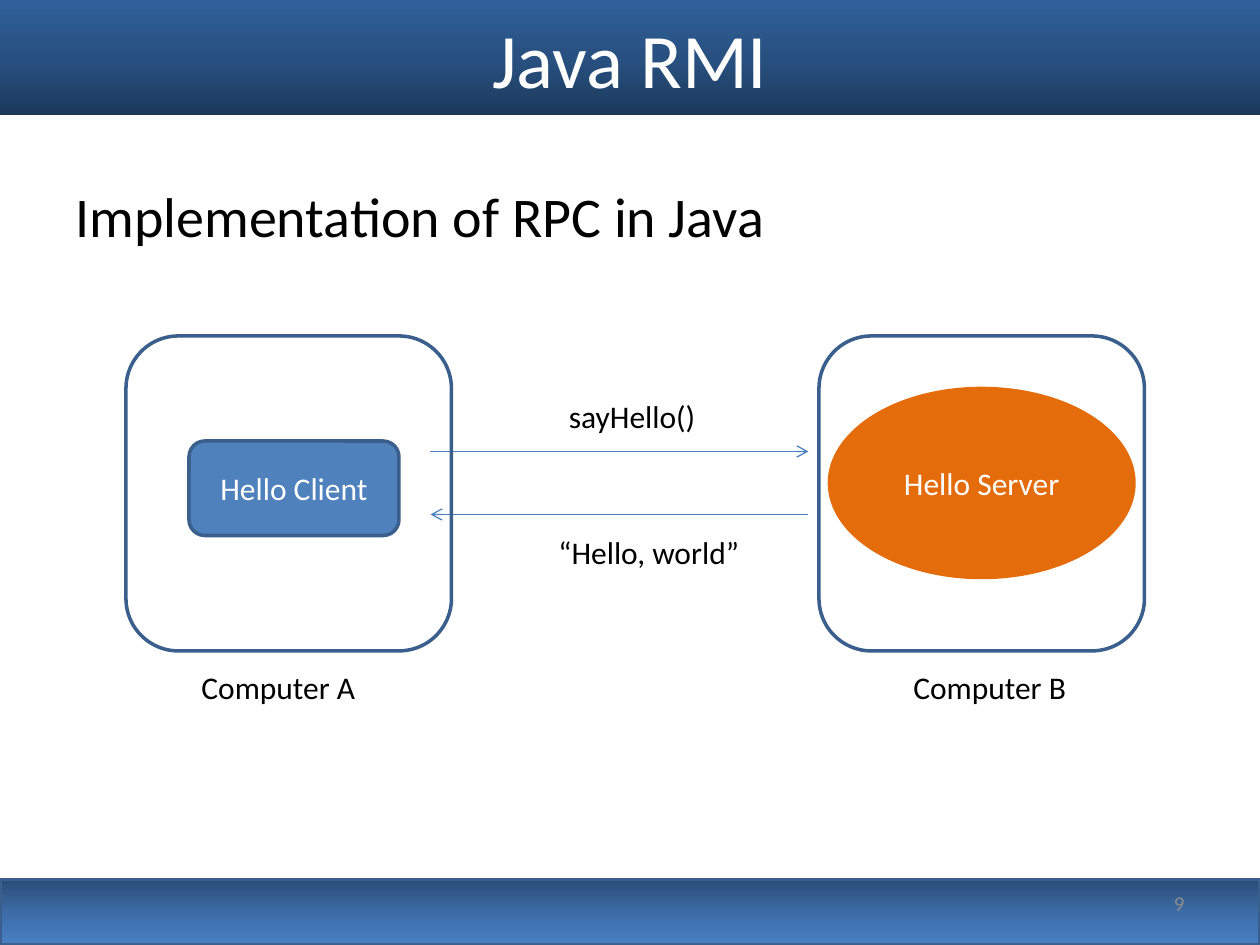
import copy
import dataclasses

import pptx
import pptx.dml.color
import pptx.enum.shapes
import pptx.enum.text
import pptx.oxml
import pptx.oxml.ns
import pptx.util

SHAPE = pptx.enum.shapes.MSO_SHAPE
ALIGN = pptx.enum.text.PP_ALIGN
ANCHOR = pptx.enum.text.MSO_ANCHOR
AUTO_SIZE = pptx.enum.text.MSO_AUTO_SIZE

WIDTH, HEIGHT = pptx.util.Inches(10), pptx.util.Inches(7.5)
COLUMNS, ROWS = 120, 90


@dataclasses.dataclass(frozen=True)
class Theme:
    font: str = "Calibri"
    ink: str = "000000"
    paper: str = "FFFFFF"
    muted: str = "8C8C8C"
    outline: str = "3A5F8C"
    arrow: str = "4B7EBC"
    client: str = "4F81BD"
    server: str = "E46C0A"
    header: tuple = ("1C395B", "285181", "306099")
    footer: tuple = ("2A4C75", "3C6CA6", "4780C5")
    title_size: int = 44
    body_size: int = 32
    label_size: int = 18
    number_size: int = 12
    border: float = 2
    hairline: float = 0.75


THEME = Theme()


def rgb(color):
    return pptx.dml.color.RGBColor.from_string(color)


def across(column):
    return round(WIDTH * column / COLUMNS)


def down(row):
    return round(HEIGHT * row / ROWS)


def box(column, row, columns, rows):
    return across(column), down(row), across(columns), down(rows)


def apply(target, values):
    for name, value in values.items():
        setattr(target, name, value)


def write(shape, text, size, color, align=ALIGN.LEFT, before=0, **frame_format):
    frame = shape.text_frame
    frame.text = text
    apply(frame, frame_format)
    paragraph = frame.paragraphs[0]
    apply(paragraph, {"alignment": align, "space_before": pptx.util.Pt(before)})
    font = paragraph.runs[0].font
    apply(font, {"name": THEME.font, "size": pptx.util.Pt(size)})
    font.color.rgb = rgb(color)


def stroke(line, color, width):
    line.color.rgb = rgb(color)
    line.width = pptx.util.Pt(width)


def shade(shape, colors, angle):
    shape.fill.gradient()
    shape.fill.gradient_angle = angle
    stops = shape.fill.gradient_stops
    first = shape.element.spPr.find(".//" + pptx.oxml.ns.qn("a:gs"))
    first.addnext(copy.deepcopy(first))
    stops = shape.fill.gradient_stops
    for index, (stop, color) in enumerate(zip(stops, colors)):
        stop.color.rgb = rgb(color)
        stop.position = index / (len(colors) - 1)


def add_block(shapes, kind, place, line, fill=None, text=None):
    block = shapes.add_shape(kind, *box(*place))
    block.shadow.inherit = False
    stroke(block.line, line, THEME.border)
    if fill:
        block.fill.solid()
        block.fill.fore_color.rgb = rgb(fill)
    else:
        block.fill.background()
    if text:
        write(block, text, THEME.label_size, THEME.paper, ALIGN.CENTER,
              vertical_anchor=ANCHOR.MIDDLE)
    return block


def add_text(shapes, place, text, size, color, **text_format):
    write(shapes.add_textbox(*box(*place)), text, size, color, **text_format)


def add_label(shapes, column, row, columns, text):
    add_text(shapes, (column, row, columns, 4.8), text, THEME.label_size, THEME.ink,
             word_wrap=False, auto_size=AUTO_SIZE.SHAPE_TO_FIT_TEXT)


def add_arrow(shapes, start, end, row):
    arrow = shapes.add_connector(
        pptx.enum.shapes.MSO_CONNECTOR.STRAIGHT,
        across(start), down(row), across(end), down(row))
    stroke(arrow.line, THEME.arrow, THEME.hairline)
    properties = arrow.element.spPr
    pptx.oxml.ns.qn("a:ln")
    line = properties.find(pptx.oxml.ns.qn("a:ln"))
    line.append(line.makeelement(pptx.oxml.ns.qn("a:tailEnd"), {"type": "arrow"}))
    properties.append(properties.makeelement(pptx.oxml.ns.qn("a:effectLst"), {}))


def add_bands(slide):
    footer = add_block(slide.shapes, SHAPE.RECTANGLE, (0, 83.75, COLUMNS, 6.25),
                       THEME.outline)
    shade(footer, THEME.footer, 270)
    title = slide.shapes.title
    left, top, width, height = box(0, 0, COLUMNS, 11)
    apply(title, {"left": left, "top": top, "width": width, "height": height})
    shade(title, THEME.header, 90)
    write(title, "Java RMI", THEME.title_size, THEME.paper, ALIGN.CENTER,
          vertical_anchor=ANCHOR.MIDDLE)


def add_diagram(slide):
    shapes = slide.shapes.add_group_shape().shapes
    add_block(shapes, SHAPE.OVAL, (79, 37, 29, 18), THEME.server, THEME.server,
              "Hello Server")
    add_block(shapes, SHAPE.ROUNDED_RECTANGLE, (18, 42, 20, 9), THEME.outline,
              THEME.client, "Hello Client")
    client_end, server_end = 41, 77
    add_arrow(shapes, client_end, server_end, 43)
    add_arrow(shapes, server_end, client_end, 49)
    add_label(shapes, 53, 37.2, 14.6, "sayHello()")
    add_label(shapes, 52, 50.2, 19.8, "“Hello, world”")
    for column, label_column, name in ((12, 18, "Computer A"), (78, 85.8, "Computer B")):
        add_block(shapes, SHAPE.ROUNDED_RECTANGLE, (column, 32, 31, 30), THEME.outline)
        add_label(shapes, label_column, 63, 17.2, name)


def main():
    deck = pptx.Presentation()
    apply(deck, {"slide_width": WIDTH, "slide_height": HEIGHT})
    slide = deck.slides.add_slide(deck.slide_layouts[5])
    add_bands(slide)
    add_text(slide.shapes, (6, 16.7, 108, 16.3), "Implementation of RPC in Java",
             THEME.body_size, THEME.ink, before=2, word_wrap=True)
    add_text(slide.shapes, (86, 83.6, 28, 4.8), "9", THEME.number_size, THEME.muted,
             align=ALIGN.RIGHT, word_wrap=True, vertical_anchor=ANCHOR.MIDDLE)
    add_diagram(slide)
    deck.save("out.pptx")


main()
